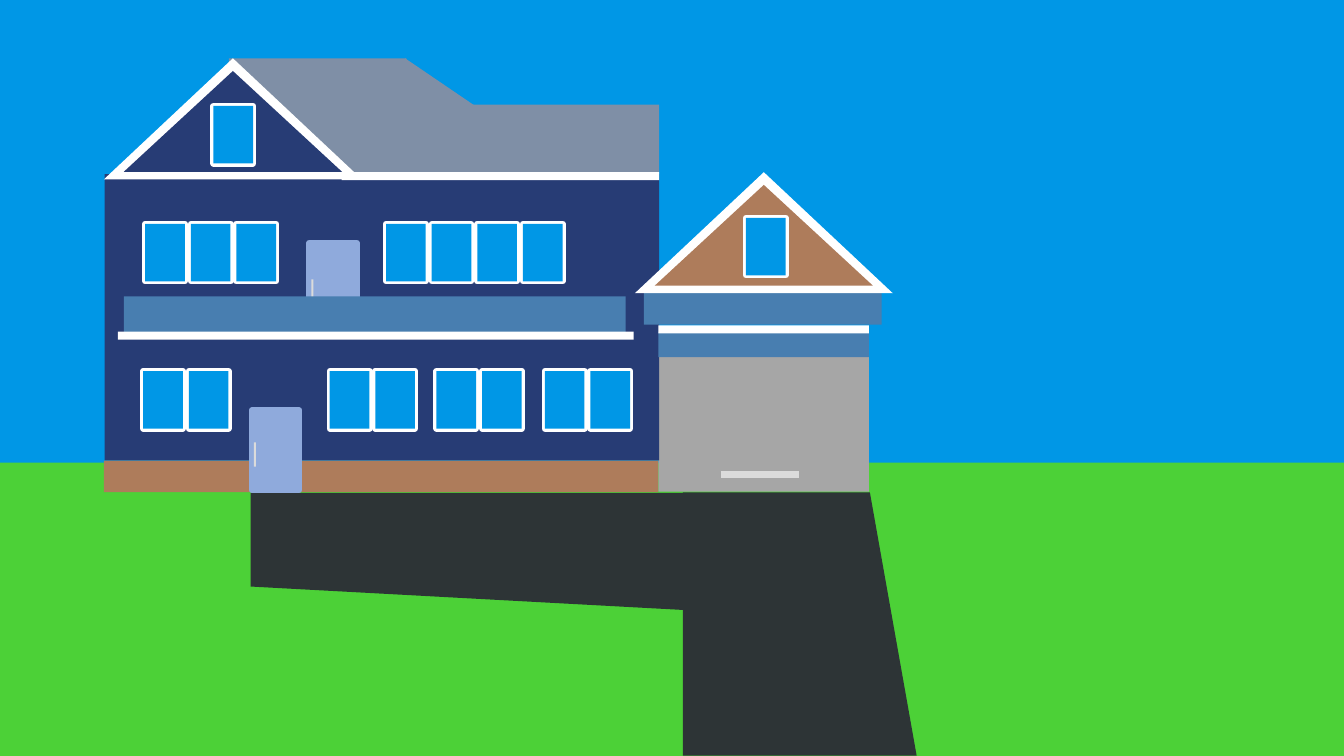
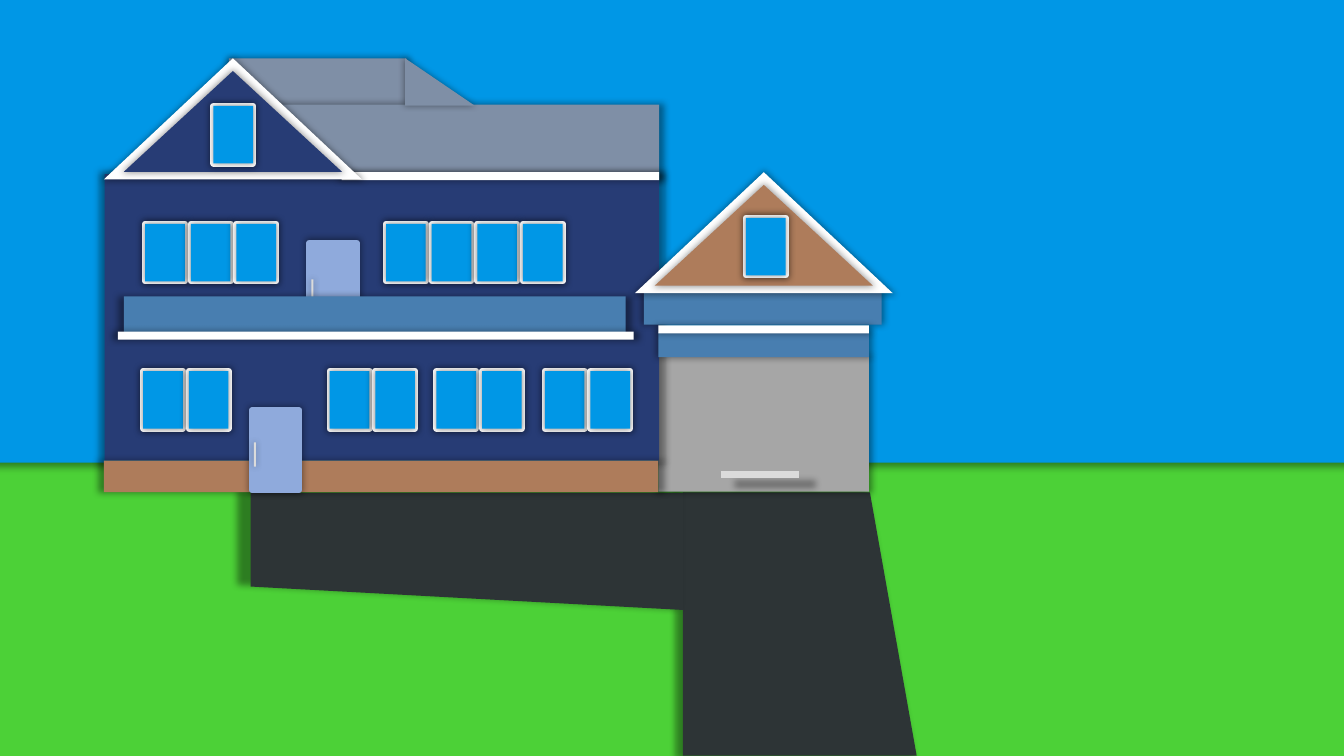
from dataclasses import dataclass
from typing import Any

from lxml import etree
from pptx import Presentation
from pptx.dml.color import RGBColor
from pptx.enum.shapes import MSO_CONNECTOR, MSO_SHAPE
from pptx.oxml.ns import qn
from pptx.util import Cm, Pt

# Colours
GRASS, SKY, ASPHALT = "4CD137", "0097E6", "2D3436"
NAVY, STEEL, ROOF, BRICK = "273C75", "487EB0", "7F8FA6", "AE7C5B"
DOOR, GARAGE, HANDLE, WHITE = "8FAADC", "A6A6A6", "DBDBDB", "FFFFFF"

# Sizes in cm
SLIDE_W, SLIDE_H = 33.87, 19.05
FRAME_PT = 4.5
PANE_W, PANE_H, PANE_PITCH = 1, 1.45, 1.15
GABLE_W, GABLE_H = 6.5, 3.05
GABLE_INSET, GABLE_DROP = 0.5, 0.32
DOOR_W, DOOR_H = 1.19, 2.01
HOUSE_W, GARAGE_LEFT, GARAGE_W = 13.97, 16.59, 5.31
TRIM = 0.2

# Window rows: left, top, number of panes
WINDOWS = [
    (5.38, 2.67, 1),
    (3.66, 5.64, 3), (9.73, 5.64, 4),
    (3.61, 9.35, 2), (8.31, 9.35, 2), (11, 9.35, 2), (13.73, 9.35, 2),
    (18.8, 5.49, 1),
]


def rgb(hex_code):
    return RGBColor.from_string(hex_code)


@dataclass
class Scene:
    slide: Any
    shadowed: bool

    def set_effects(self, item):
        """Give an item the soft halo of this scene, or no effect at all."""
        effects = etree.SubElement(item._element.spPr, qn("a:effectLst"))
        if self.shadowed:
            halo = etree.SubElement(
                effects, qn("a:outerShdw"), blurRad=str(Pt(5)),
                sx="102000", sy="102000", algn="ctr", rotWithShape="0")
            black = etree.SubElement(halo, qn("a:srgbClr"), val="000000")
            etree.SubElement(black, qn("a:alpha"), val="40000")

    def block(self, left, top, width, height, color,
              kind=MSO_SHAPE.RECTANGLE, framed=False):
        shape = self.slide.shapes.add_shape(
            kind, Cm(left), Cm(top), Cm(width), Cm(height))
        shape.fill.solid()
        shape.fill.fore_color.rgb = rgb(color)
        if framed:
            shape.line.color.rgb = rgb(color)
            shape.line.width = Pt(FRAME_PT)
        else:
            shape.line.fill.background()
        self.set_effects(shape)
        return shape

    def bar(self, left, right, y, color):
        line = self.slide.shapes.add_connector(
            MSO_CONNECTOR.STRAIGHT, Cm(left), Cm(y), Cm(right), Cm(y))
        line.line.color.rgb = rgb(color)
        line.line.width = Pt(FRAME_PT)
        self.set_effects(line)

    def gable(self, left, top, color):
        triangle = MSO_SHAPE.ISOSCELES_TRIANGLE
        self.block(left, top, GABLE_W, GABLE_H, WHITE, triangle)
        self.block(left + GABLE_INSET, top + GABLE_DROP,
                   GABLE_W - 2 * GABLE_INSET, 2.54, color, triangle)

    def door(self, left, top, handle_top):
        self.block(left, top, DOOR_W, DOOR_H, DOOR, framed=True)
        self.block(left + 0.05, handle_top, 0.05, 0.61, HANDLE)

    def windows(self, left, top, count):
        for i in range(count):
            pane = (left + i * PANE_PITCH, top, PANE_W, PANE_H)
            self.block(*pane, WHITE, framed=True)
            self.block(*pane, SKY)

    def landscape(self):
        self.block(0, 11.63, SLIDE_W, 7.44, GRASS)
        self.block(0, 0, SLIDE_W, 11.66, SKY)
        slanted = MSO_SHAPE.FLOWCHART_MANUAL_INPUT
        driveway = self.block(16.84, 12.78, 6.63, 5.89, ASPHALT, slanted)
        driveway.rotation = 90
        path = self.block(6.32, 12.42, 10.9, 2.95, ASPHALT, slanted)
        path.rotation = 180
        path._element.spPr.xfrm.set("flipH", "1")

    def buildings(self):
        # Garage door, house roof and walls
        self.block(GARAGE_LEFT, 8.99, GARAGE_W, 3.4, GARAGE)
        self.block(5.77, 1.47, 4.47, 1.19, ROOF)
        self.block(5.79, 2.64, 10.82, 1.91, ROOF)
        self.block(10.21, 1.47, 1.75, 1.19, ROOF, MSO_SHAPE.RIGHT_TRIANGLE)
        self.block(2.64, 4.39, HOUSE_W, 7.21, NAVY)

        # Garage front and brick base
        self.block(16.23, 7.39, 5.99, 0.79, STEEL)
        self.gable(16, 4.34, BRICK)
        self.block(2.62, 11.61, HOUSE_W, 0.79, BRICK)
        self.bar(18.16, 20.14, 11.96, HANDLE)
        self.block(GARAGE_LEFT, 8.36, GARAGE_W, 0.64, STEEL)

        # Doors, with the balcony in front of the upper one
        self.door(6.35, 10.34, 11.15)
        self.door(7.8, 6.12, 7.04)
        self.block(3.12, 7.47, 12.65, 0.94, STEEL)

        # House gable and white trim
        self.block(8.61, 4.34, 8, TRIM, WHITE)
        self.gable(2.62, 1.47, NAVY)
        self.block(2.97, 8.36, 13, TRIM, WHITE)
        self.block(GARAGE_LEFT, 8.2, GARAGE_W, TRIM, WHITE)

        for row in WINDOWS:
            self.windows(*row)


def main():
    prs = Presentation()
    prs.slide_width, prs.slide_height = Cm(SLIDE_W), Cm(SLIDE_H)
    for shadowed in (False, True):
        scene = Scene(prs.slides.add_slide(prs.slide_layouts[6]), shadowed)
        scene.landscape()
        scene.buildings()
    prs.save("out.pptx")


main()
